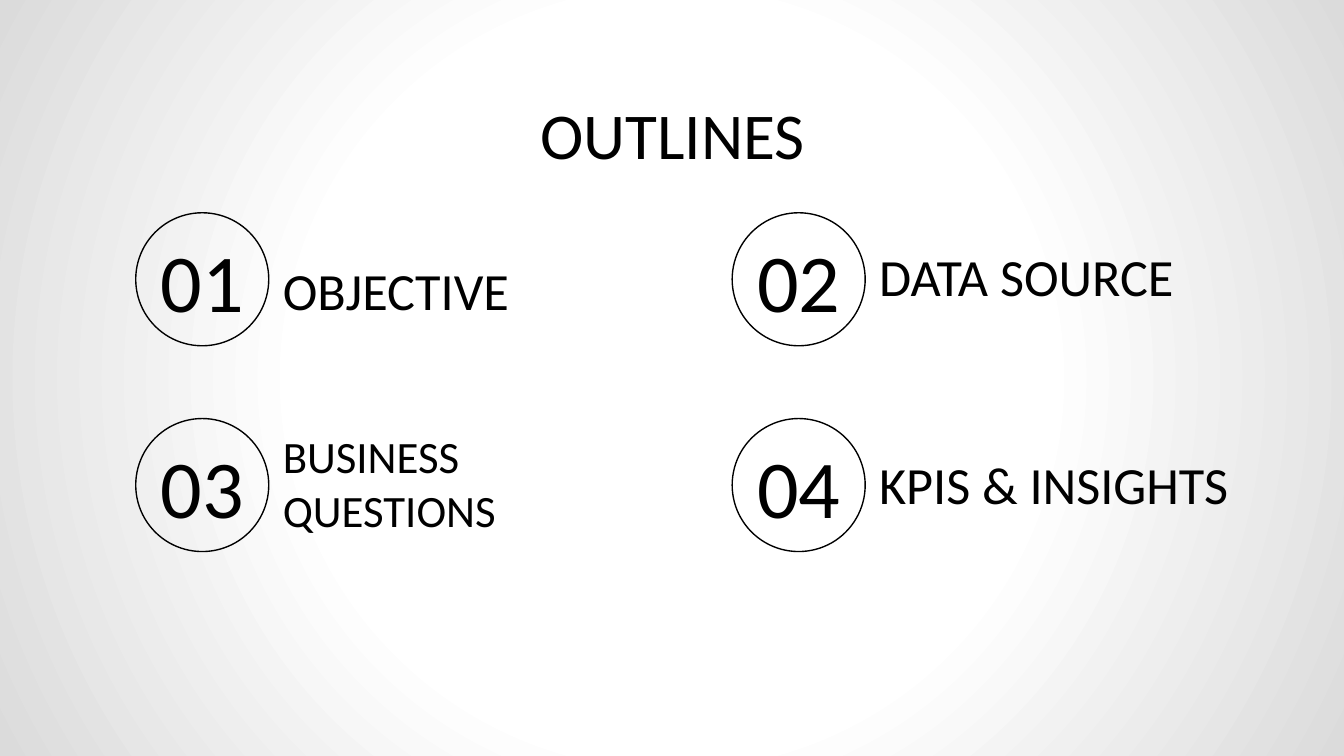
from pptx import Presentation
from pptx.dml.color import RGBColor
from pptx.enum.shapes import MSO_SHAPE as Shape
from pptx.enum.text import MSO_ANCHOR as Anchor, MSO_AUTO_SIZE as AutoSize, PP_ALIGN as Align
from pptx.oxml import parse_xml
from pptx.oxml.ns import nsdecls, qn
from pptx.util import Emu, Pt

PX = 9525
BLACK = "000000"
INSET = 10
CIRCLE = 95
COLUMNS = (97, 523)
ROWS = (152, 299)
BACKDROP = ((0, "FFFFFF"), (48, "FFFFFF"), (100, "DBDBDB"))
TOPICS = (
    ("01", "OBJECTIVE", 28, (19, 244, 68)),
    ("02", "DATA SOURCE", 28, (30, 298, 47)),
    ("03", "BUSINESS QUESTIONS", 24, (-1, 244, 95)),
    ("04", "KPIS & INSIGHTS", 28, (32, 331, 47)),
)


def px(*lengths):
    """Turn pixel lengths into EMU."""
    return [Emu(length * PX) for length in lengths]


def color(hex_value):
    """Turn a hex string into a colour."""
    return RGBColor.from_string(hex_value)


def apply(target, values):
    """Set each attribute in a dict of format values."""
    for name, value in values.items():
        setattr(target, name, value)


def write(holder, text, size, align, anchor):
    """Fill a text holder with one formatted paragraph."""
    frame = holder.text_frame
    margins = {f"margin_{side}": px(INSET)[0] for side in ("left", "top", "right", "bottom")}
    apply(frame, {"text": text, "word_wrap": True, "auto_size": AutoSize.NONE,
                  "vertical_anchor": anchor, **margins})
    paragraph = frame.paragraphs[0]
    paragraph.alignment = align
    font = paragraph.runs[0].font
    apply(font, {"name": "Calibri", "size": Pt(size)})
    font.color.rgb = color(BLACK)


def paint_background(slide, stops):
    """Give the slide a circular gradient that spreads from its centre."""
    slide.background.fill.solid()
    properties = slide._element.find(".//" + qn("p:bgPr"))
    marks = "".join(f'<a:gs pos="{at * 1000}"><a:srgbClr val="{tint}"/></a:gs>' for at, tint in stops)
    gradient = parse_xml(
        f'<a:gradFill {nsdecls("a")} rotWithShape="1"><a:gsLst>{marks}</a:gsLst>'
        '<a:path path="circle"><a:fillToRect l="50000" t="50000" r="50000" b="50000"/></a:path>'
        '</a:gradFill>')
    properties.replace(properties[0], gradient)


def add_heading(slide, left, top, width, height):
    """Place the slide title in its box."""
    heading = slide.shapes.title
    apply(heading, dict(zip(("left", "top", "width", "height"), px(left, top, width, height))))
    write(heading, "OUTLINES", 35, Align.CENTER, Anchor.TOP)


def add_topic(slide, left, top, number, label, label_size, label_box):
    """Place a circled number with its label to the right."""
    ring = slide.shapes.add_shape(Shape.OVAL, *px(left, top, CIRCLE, CIRCLE))
    ring.shadow.inherit = False
    ring.fill.background()
    ring.line.color.rgb = color(BLACK)
    ring.line.width = Pt(0.75)
    numeral = slide.shapes.add_textbox(*px(left, top + 14, CIRCLE, 68))
    write(numeral, number, 44, Align.CENTER, Anchor.MIDDLE)
    drop, width, height = label_box
    caption = slide.shapes.add_textbox(*px(left + CIRCLE, top + drop, width, height))
    write(caption, label, label_size, Align.LEFT, Anchor.BOTTOM)


def main():
    """Build the outline slide and save it."""
    deck = Presentation()
    deck.slide_width, deck.slide_height = px(960, 540)
    slide = deck.slides.add_slide(deck.slide_layouts[5])
    paint_background(slide, BACKDROP)
    add_heading(slide, 76, 57, 809, 60)
    for index, topic in enumerate(TOPICS):
        row, column = divmod(index, len(COLUMNS))
        add_topic(slide, COLUMNS[column], ROWS[row], *topic)
    deck.save("out.pptx")


if __name__ == "__main__":
    main()
